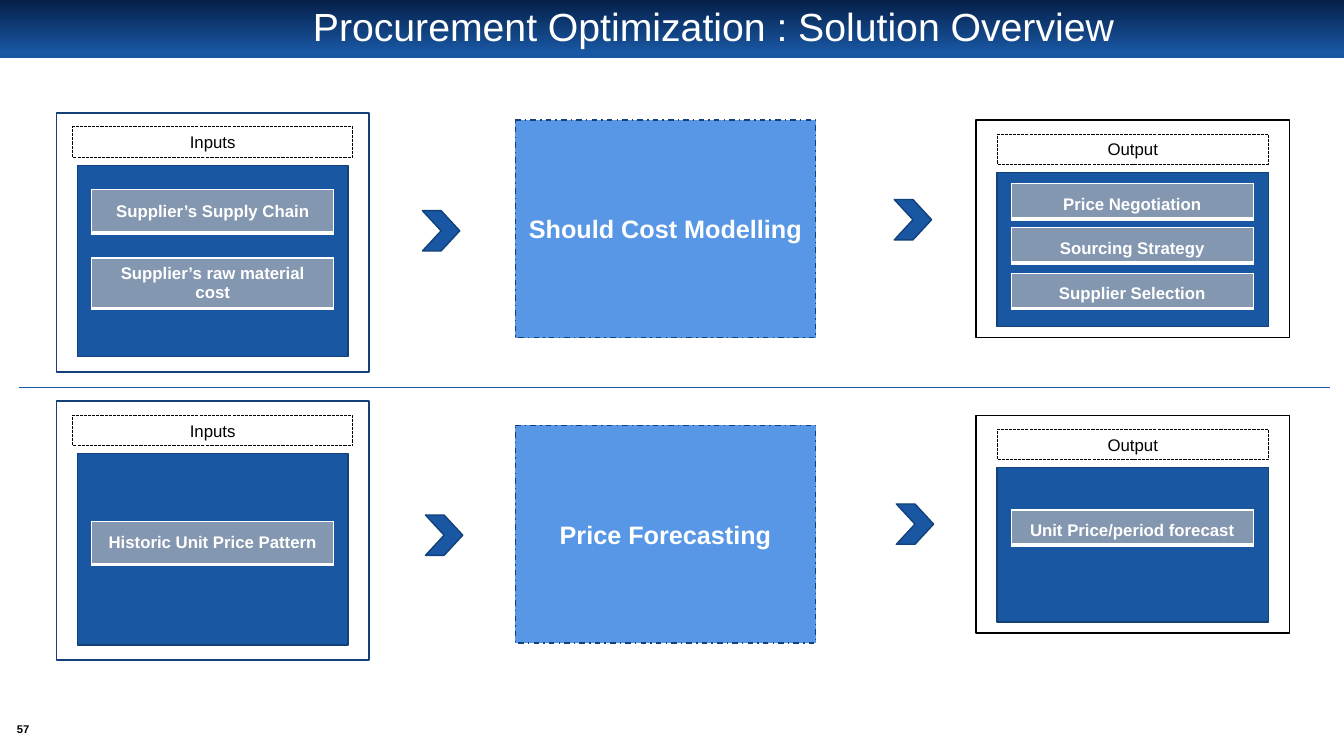
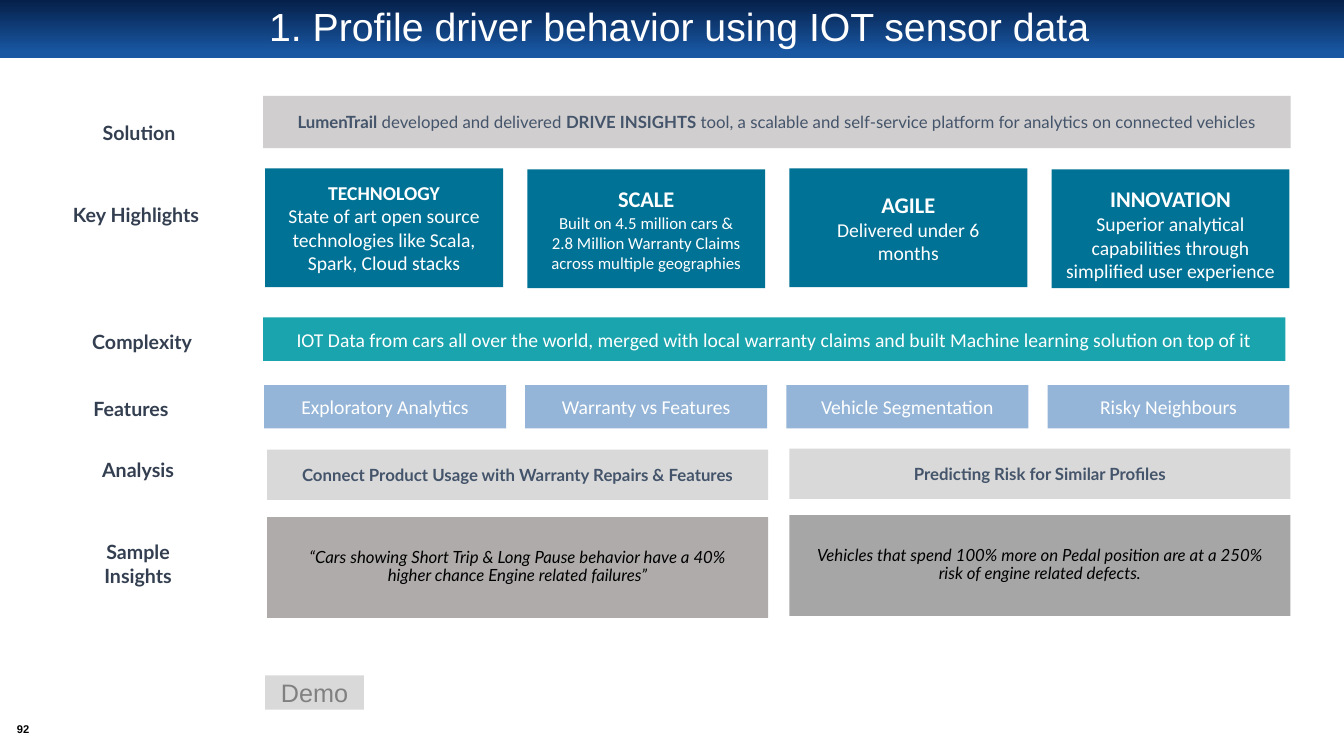
from dataclasses import dataclass
from typing import NamedTuple

from lxml import etree
from pptx import Presentation
from pptx import util as u
from pptx.dml.color import RGBColor
from pptx.enum import dml, shapes, text
from pptx.oxml import ns

PX = 9144
NAVY, BLUE, EDGE, SKY = "052049", "1957A3", "124079", "5797E5"
WHITE, BLACK, STEEL, SLATE = "FFFFFF", "000000", "8497B0", "44546A"
INK, TEAL, AQUA, PALE = "333F50", "007295", "1AA4AD", "94B5D7"
SILVER, GRAY = "D9D9D9", "808080"
KIND = shapes.MSO_SHAPE
RECT, FLOW = KIND.RECTANGLE, KIND.FLOWCHART_PROCESS
MID, TOP, LOW = text.MSO_ANCHOR.MIDDLE, text.MSO_ANCHOR.TOP, text.MSO_ANCHOR.BOTTOM
WIDE = (20, 16)


class Area(NamedTuple):
    x: int
    y: int
    w: int
    h: int


class Run(NamedTuple):
    words: str
    bold: bool = False


class Chip(NamedTuple):
    words: str
    y: int
    h: int


@dataclass
class Panel:
    title: str
    area: Area
    edge: str
    inset: int
    foot: int
    anchor: object
    chips: list[Chip]


@dataclass
class Card:
    head: str
    body: str
    top: int = 167
    size: int = 16
    small: int = 14
    anchor: object = MID
    pad: tuple[int, int] = WIDE


class Label(NamedTuple):
    words: str
    area: Area


def emu(area: Area) -> list[int]:
    return [n * PX for n in area]


def rgb(code: str) -> RGBColor:
    return RGBColor.from_string(code)


def write(frame, *paras, font="Arial", size=12, color=WHITE, bold=False,
          italic=False, anchor=MID, pad=(10, 5), gap=None, wrap=True):
    frame.word_wrap = wrap
    frame.vertical_anchor = anchor
    frame.margin_left = frame.margin_right = pad[0] * PX
    frame.margin_top = frame.margin_bottom = pad[1] * PX
    for i, para in enumerate(paras):
        p = frame.paragraphs[0] if i == 0 else frame.add_paragraph()
        p.alignment = text.PP_ALIGN.CENTER
        if gap:
            p.line_spacing = gap
        runs = [Run(para, bold)] if isinstance(para, str) else para
        for item in runs:
            r = p.add_run()
            r.text = item.words
            r.font.name, r.font.size = font, u.Pt(size)
            r.font.bold, r.font.italic = item.bold, italic
            r.font.color.rgb = rgb(color)


def shape(slide, area: Area, fill="", line="", kind=RECT, width=1.0, dash=None):
    s = slide.shapes.add_shape(kind, *emu(area))
    s.shadow.inherit = False
    if fill:
        s.fill.solid()
        s.fill.fore_color.rgb = rgb(fill)
    else:
        s.fill.background()
    if line:
        s.line.color.rgb = rgb(line)
        s.line.width = u.Pt(width)
        if dash:
            s.line.dash_style = dash
    else:
        s.line.fill.background()
    return s


def label(slide, area: Area, *paras, **form):
    write(slide.shapes.add_textbox(*emu(area)).text_frame, *paras, **form)


def block(slide, area: Area, fill: str, *paras, **form):
    write(shape(slide, area, fill).text_frame, *paras, **form)


def base(deck, title: str, area: Area, num: str):
    slide = deck.slides.add_slide(deck.slide_layouts[6])
    band = shape(slide, Area(0, 0, 1333, 58), NAVY)
    band.fill.gradient()
    band.fill.gradient_angle = 270
    for stop, code, place in zip(band.fill.gradient_stops, (NAVY, BLUE), (0, 0.9)):
        stop.color.rgb = rgb(code)
        stop.position = place
    label(slide, area, title, size=28, gap=0.9)
    label(slide, Area(8, 714, 30, 19), num, size=8, color=BLACK, bold=True,
          pad=(0, 0), wrap=False)
    return slide


def chip(slide, area: Area, words: str, anchor):
    grid = slide.shapes.add_table(1, 1, *emu(area)).table
    grid.first_row = grid.horz_banding = False
    cell = grid.cell(0, 0)
    props = cell._tc.get_or_add_tcPr()
    for side, pt in (("L", 1), ("R", 1), ("T", 1), ("B", 3)):
        ln = etree.SubElement(props, ns.qn(f"a:ln{side}"), w=str(u.Pt(pt)))
        fill = etree.SubElement(ln, ns.qn("a:solidFill"))
        etree.SubElement(fill, ns.qn("a:srgbClr"), val=WHITE)
    cell.fill.solid()
    cell.fill.fore_color.rgb = rgb(STEEL)
    cell.vertical_anchor = anchor
    write(cell.text_frame, words, bold=True, anchor=anchor)


def panel(slide, item: Panel):
    x, y, w, h = item.area
    shape(slide, item.area, WHITE, item.edge)
    tab = Area(x + item.inset, y + 14, w - 2 * item.inset, 30)
    s = shape(slide, tab, "", BLACK, width=0.75, dash=dml.MSO_LINE.SQUARE_DOT)
    write(s.text_frame, item.title, color=BLACK, anchor=TOP)
    shape(slide, Area(x + 21, y + 52, w - 42, h - 52 - item.foot), BLUE, EDGE)
    for c in item.chips:
        chip(slide, Area(x + (w - 240) // 2, y + c.y, 240, c.h), c.words, item.anchor)


def source(y: int, *chips: Chip) -> Panel:
    return Panel("Inputs", Area(56, y, 310, 257), EDGE, 16, 15, MID, list(chips))


def result(y: int, *chips: Chip) -> Panel:
    return Panel("Output", Area(968, y, 311, 216), BLACK, 21, 11, LOW, list(chips))


def flow(deck):
    slide = base(deck, "Procurement Optimization : Solution Overview",
                 Area(188, 9, 1039, 39), "57")
    goals = ("Price Negotiation", "Sourcing Strategy", "Supplier Selection")
    for item in (
        source(112, Chip("Supplier’s Supply Chain", 76, 43),
               Chip("Supplier’s raw material cost", 144, 50)),
        result(119, *(Chip(g, 63 + 89 * i // 2, 35) for i, g in enumerate(goals))),
        source(398, Chip("Historic Unit Price Pattern", 119, 43)),
        result(412, Chip("Unit Price/period forecast", 94, 35)),
    ):
        panel(slide, item)
    for y, words in ((119, "Should Cost Modelling"), (422, "Price Forecasting")):
        s = shape(slide, Area(511, y, 298, 216), SKY, EDGE, FLOW,
                  dash=dml.MSO_LINE.DASH_DOT)
        write(s.text_frame, words, size=18, bold=True)
    for x, y in ((419, 209), (887, 198), (422, 511), (889, 500)):
        shape(slide, Area(x, y, 37, 40), BLUE, EDGE, KIND.CHEVRON)
    rule = slide.shapes.add_connector(
        shapes.MSO_CONNECTOR.STRAIGHT, *emu(Area(19, 384, 1319, 384)))
    rule.line.color.rgb = rgb(BLUE)
    rule.line.width = u.Pt(0.5)
    etree.SubElement(rule._element.spPr, ns.qn("a:effectLst"))


def profile(deck):
    slide = base(deck, "1. Profile driver behavior using IOT sensor data",
                 Area(60, 6, 1227, 45), "92")
    for item in (
        Label("Solution", Area(13, 115, 250, 34)),
        Label("Key Highlights", Area(-1, 196, 272, 34)),
        Label("Complexity", Area(5, 322, 272, 34)),
        Label("Features", Area(5, 388, 250, 34)),
        Label("Analysis", Area(12, 449, 250, 34)),
        Label("Sample\nInsights", Area(12, 531, 250, 57)),
    ):
        label(slide, item.area, *item.words.split("\n"), font="Lato", size=14,
              color=INK, bold=True)
    block(slide, Area(261, 95, 1019, 52), "D0CECE", [
        Run("LumenTrail", True), Run(" developed and delivered "),
        Run("DRIVE INSIGHTS ", True),
        Run("tool, a scalable and self-service platform for analytics "
            "on connected vehicles"),
    ], font="Lato", color=SLATE, pad=WIDE)
    cards = (
        Card("TECHNOLOGY", "State of art open source technologies like Scala, "
             "Spark, Cloud stacks", size=14, pad=(10, 5)),
        Card("SCALE", "Built on 4.5 million cars & 2.8 Million Warranty Claims "
             "across multiple geographies", 168, small=12, anchor=TOP, pad=(22, 16)),
        Card("AGILE", "Delivered under 6 months"),
        Card("INNOVATION", "Superior analytical capabilities through simplified "
             "user experience", 168, anchor=TOP, pad=(6, 16)),
    )
    for i, c in enumerate(cards):
        s = shape(slide, Area(263 + 260 * i, c.top, 236, 118), TEAL)
        write(s.text_frame, c.head, c.body, font="Calibri", size=c.small,
              anchor=c.anchor, pad=c.pad)
        head = s.text_frame.paragraphs[0].runs[0].font
        head.size, head.bold = u.Pt(c.size), True
    block(slide, Area(261, 315, 1014, 43), AQUA,
          "IOT Data from cars all over the world, merged with local warranty "
          "claims and built Machine learning solution on top of it",
          font="Calibri", size=14, pad=WIDE)
    for i, words in enumerate(("Exploratory Analytics", "Warranty vs Features",
                               "Vehicle Segmentation", "Risky Neighbours")):
        block(slide, Area(262 + 259 * i, 382, 240, 43), PALE, words,
              font="Calibri", size=14)
    for x, lift, fill, topic, quote in (
        (265, 0, "AFABAB", "Connect Product Usage with Warranty Repairs & Features",
         "“Cars showing Short Trip & Long Pause behavior have a 40% higher "
         "chance Engine related failures”"),
        (783, 1, "A6A6A6", "Predicting Risk for Similar Profiles",
         "Vehicles that spend 100% more on Pedal position are at a 250% risk "
         "of engine related defects."),
    ):
        block(slide, Area(x, 446 - lift, 497, 50), SILVER, topic, font="Lato",
              color=SLATE, bold=True)
        block(slide, Area(x, 513 - 2 * lift, 497, 100), fill, quote, font="Lato",
              color=BLACK, italic=True, pad=WIDE, gap=0.9)
    block(slide, Area(263, 670, 98, 34), SILVER, "Demo", size=18, color=GRAY)


def main():
    deck = Presentation()
    deck.slide_width, deck.slide_height = 1333 * PX, 750 * PX
    flow(deck)
    profile(deck)
    deck.save("out.pptx")


if __name__ == "__main__":
    main()
